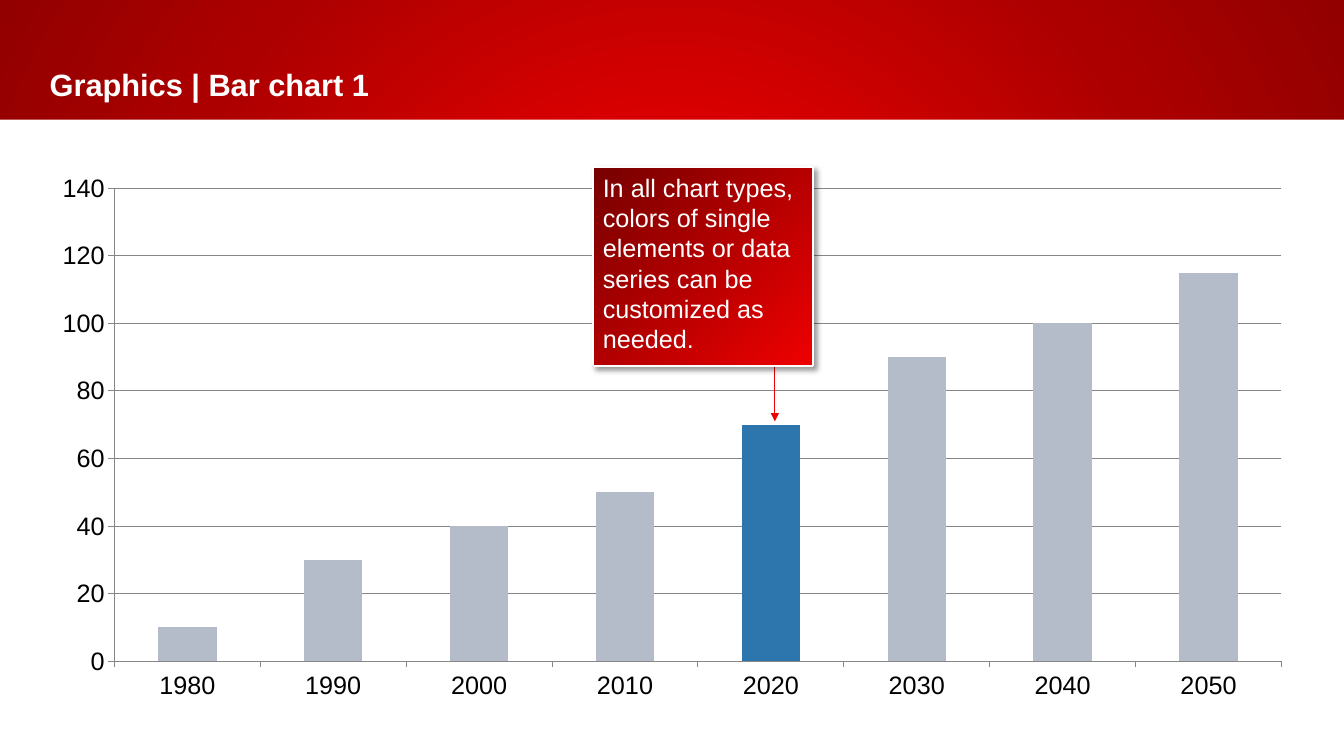
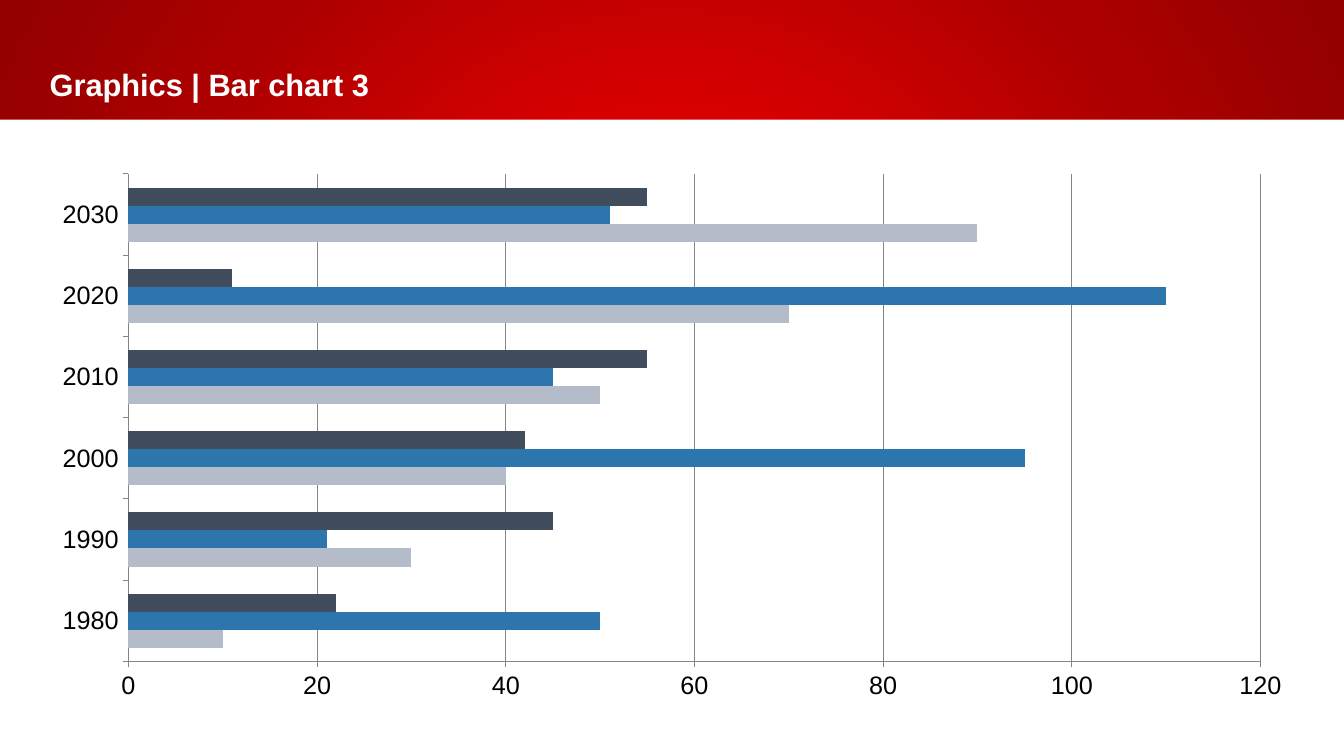
from lxml.etree import SubElement
from pptx import Presentation
from pptx.chart.data import CategoryChartData
from pptx.dml.color import RGBColor
from pptx.enum.chart import XL_CHART_TYPE, XL_TICK_MARK
from pptx.enum.shapes import MSO_CONNECTOR, MSO_SHAPE
from pptx.enum.text import MSO_ANCHOR, PP_ALIGN
from pptx.oxml.ns import qn
from pptx.util import Pt

WHITE = RGBColor(0xFF, 0xFF, 0xFF)
BLACK = RGBColor(0, 0, 0)
RED = RGBColor(0xEF, 0, 0)
RED_MID = RGBColor(0xAC, 0, 0)
RED_DARK = RGBColor(0x92, 0, 0)
MAROON = RGBColor(0x77, 0, 0)
SILVER = RGBColor(0xB3, 0xBC, 0xC8)
BLUE = RGBColor(0x2D, 0x76, 0xAD)
SLATE = RGBColor(0x41, 0x4D, 0x5C)
AXIS_GRAY = RGBColor(0x86, 0x86, 0x86)

FONT = "Arial"
TITLE_FONT = {"name": FONT, "size": Pt(22), "bold": True}
BODY_FONT = {"name": FONT, "size": Pt(18)}

# Boxes are left, top, width, height in points
SLIDE_W, SLIDE_H = 960, 540
BAND_H = 85.5
TITLE_BOX = (0, 35.5, 798.5, 49.5)
CHART_BOX = (26.5, 116.5, 907, 391)
CALLOUT_BOX = (423.5, 119.5, 157.5, 142)

BAND_STOPS = ((0, RED), (16, RED), (69, RED_MID), (100, RED_DARK))
CALLOUT_STOPS = ((0, RED), (100, MAROON))
YEARS = [str(year) for year in range(1980, 2051, 10)]


def points(box):
    return [Pt(value) for value in box]


def set_format(obj, formats):
    for name, value in formats.items():
        setattr(obj, name, value)


def add_xml(parent, tag, **attrs):
    el = SubElement(parent, qn(tag))
    for name, value in attrs.items():
        el.set(name, str(value))
    return el


def set_radial_fill(fill, owner, stops, focus):
    """Fill owner with a circular gradient around focus (l, t, r, b in percent)."""
    fill.gradient()
    grad = next(owner.iter(qn("a:gradFill")))
    for child in list(grad):
        grad.remove(child)
    stop_list = add_xml(grad, "a:gsLst")
    for percent, color in stops:
        gs = add_xml(stop_list, "a:gs", pos=percent * 1000)
        add_xml(gs, "a:srgbClr", val=color)
    circle = add_xml(grad, "a:path", path="circle")
    sides = {side: value * 1000 for side, value in zip("ltrb", focus)}
    add_xml(circle, "a:fillToRect", **sides)


def write_text(sp, text, font, insets, anchor):
    tf = sp.text_frame
    left, top, right, bottom = points(insets)
    set_format(tf, {"word_wrap": True, "vertical_anchor": anchor,
                    "margin_left": left, "margin_top": top,
                    "margin_right": right, "margin_bottom": bottom})
    p = tf.paragraphs[0]
    p.alignment = PP_ALIGN.LEFT
    r = p.add_run()
    r.text = text
    set_format(r.font, font)
    r.font.color.rgb = WHITE
    return p


def add_titled_slide(prs, title):
    """Add a slide with the red band, the white panel and the title."""
    s = prs.slides.add_slide(prs.slide_layouts[6])
    set_radial_fill(s.background.fill, s.element, BAND_STOPS, (50, 50, 50, 50))
    panel_box = (0, BAND_H, SLIDE_W, SLIDE_H - BAND_H)
    panel = s.shapes.add_shape(MSO_SHAPE.RECTANGLE, *points(panel_box))
    panel.shadow.inherit = False
    panel.fill.solid()
    panel.fill.fore_color.rgb = WHITE
    panel.line.fill.background()
    title_sp = s.shapes.add_textbox(*points(TITLE_BOX))
    write_text(title_sp, title, TITLE_FONT, (35.5, 11.5, 7, 11.5),
               MSO_ANCHOR.BOTTOM)
    return s


def add_bar_chart(s, box, chart_type, categories, series, axis_max):
    """Add a clustered chart; series holds (name, color, values)."""
    data = CategoryChartData()
    data.categories = categories
    for name, _, values in series:
        data.add_series(name, values)
    chart = s.shapes.add_chart(chart_type, *points(box), data).chart
    set_format(chart, {"has_title": False, "has_legend": False})
    set_format(chart.font, BODY_FONT)
    chart.font.color.rgb = BLACK
    plot = chart.plots[0]
    set_format(plot, {"gap_width": 150, "overlap": 0,
                      "vary_by_categories": False})
    for bars, (_, color, _) in zip(plot.series, series):
        bars.format.fill.solid()
        bars.format.fill.fore_color.rgb = color
    value_axis = chart.value_axis
    set_format(value_axis, {"minimum_scale": 0, "maximum_scale": axis_max,
                            "major_unit": 20, "has_major_gridlines": True})
    for axis in (chart.category_axis, value_axis):
        set_format(axis, {"major_tick_mark": XL_TICK_MARK.OUTSIDE,
                          "minor_tick_mark": XL_TICK_MARK.NONE})
    for part in (chart.category_axis, value_axis, value_axis.major_gridlines):
        part.format.line.color.rgb = AXIS_GRAY
        part.format.line.width = Pt(0.75)
    return chart


def add_callout(s, box, text, arrow_x, arrow_length):
    """Add a shaded note with an arrow pointing down from its lower edge."""
    left, top, width, height = box
    x, y = left + arrow_x, top + height
    arrow = s.shapes.add_connector(MSO_CONNECTOR.STRAIGHT,
                                   *points((x, y, x, y + arrow_length)))
    arrow.line.color.rgb = RED
    arrow.line.width = Pt(0.75)
    props = arrow.element.spPr
    add_xml(props.find(qn("a:ln")), "a:tailEnd", type="triangle")
    add_xml(props, "a:effectLst")

    note = s.shapes.add_shape(MSO_SHAPE.RECTANGLE, *points(box))
    note.shadow.inherit = False
    set_radial_fill(note.fill, note.element, CALLOUT_STOPS, (100, 100, 0, 0))
    note.line.color.rgb = WHITE
    note.line.width = Pt(1.5)
    effects = next(note.element.iter(qn("a:effectLst")))
    shadow = add_xml(effects, "a:outerShdw", blurRad=Pt(4), dist=Pt(3),
                     dir=45 * 60000, algn="tl", rotWithShape=0)
    add_xml(add_xml(shadow, "a:srgbClr", val=BLACK), "a:alpha", val=40000)
    p = write_text(note, text, BODY_FONT, (7.2, 3.6, 7.2, 3.6), MSO_ANCHOR.TOP)
    p.space_before = Pt(6)


def add_column_slide(prs):
    s = add_titled_slide(prs, "Graphics | Bar chart 1")
    series = [("Series 1", SILVER, (10, 30, 40, 50, 70, 90, 100, 115))]
    chart = add_bar_chart(s, CHART_BOX, XL_CHART_TYPE.COLUMN_CLUSTERED,
                          YEARS, series, 140)
    highlight = chart.plots[0].series[0].points[YEARS.index("2020")]
    highlight.format.fill.solid()
    highlight.format.fill.fore_color.rgb = BLUE
    add_callout(s, CALLOUT_BOX,
                "In all chart types, colors of single elements or data series "
                "can be customized as needed.", 130, 39.5)


def add_bar_slide(prs):
    s = add_titled_slide(prs, "Graphics | Bar chart 3")
    series = [("Series 1", SILVER, (10, 30, 40, 50, 70, 90)),
              ("Series 2", BLUE, (50, 21, 95, 45, 110, 51)),
              ("Series 3", SLATE, (22, 45, 42, 55, 11, 55))]
    add_bar_chart(s, CHART_BOX, XL_CHART_TYPE.BAR_CLUSTERED, YEARS[:6],
                  series, 120)


def main():
    prs = Presentation()
    set_format(prs, {"slide_width": Pt(SLIDE_W), "slide_height": Pt(SLIDE_H)})
    add_column_slide(prs)
    add_bar_slide(prs)
    prs.save("out.pptx")


if __name__ == "__main__":
    main()
